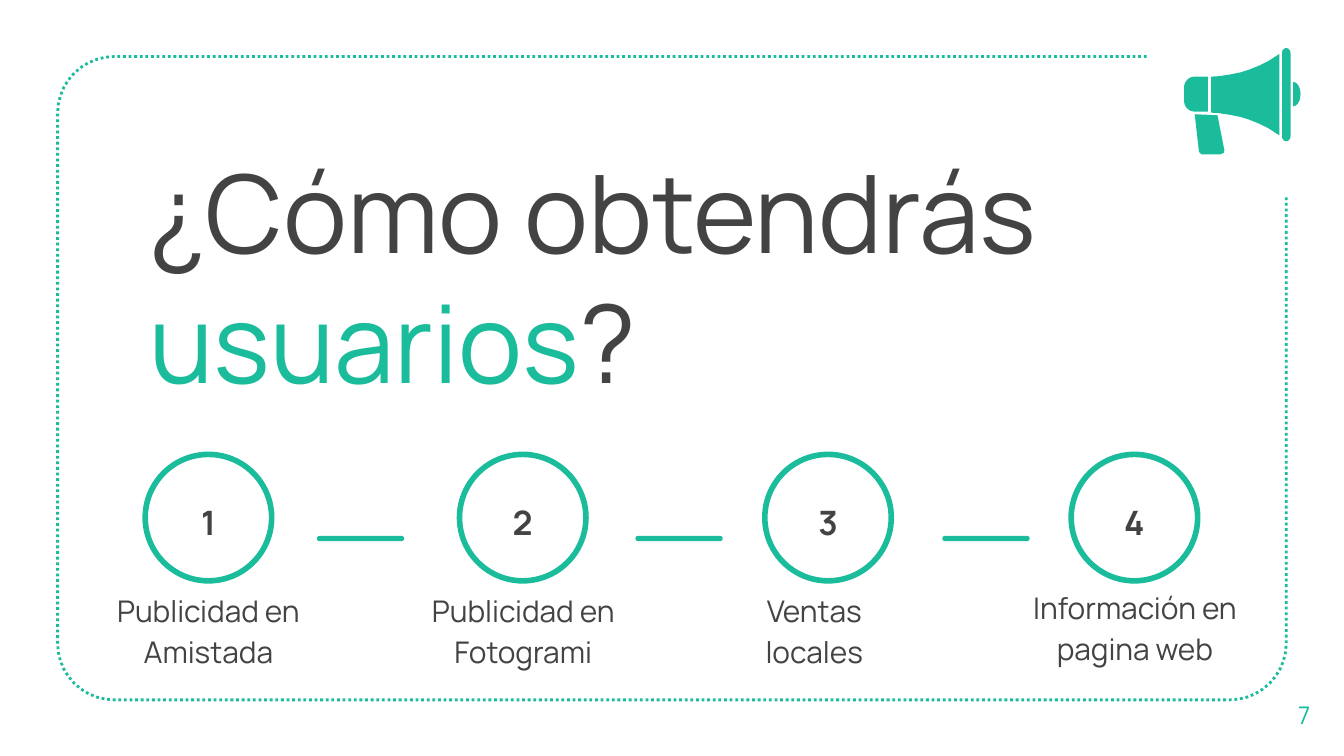
from math import cos, radians, sin

from pptx import Presentation
from pptx.dml.color import RGBColor
from pptx.enum.dml import MSO_LINE
from pptx.enum.shapes import MSO_SHAPE
from pptx.enum.text import MSO_ANCHOR, MSO_AUTO_SIZE, PP_ALIGN
from pptx.util import Cm, Pt

OVAL, ROUNDED = MSO_SHAPE.OVAL, MSO_SHAPE.ROUNDED_RECTANGLE
DOTTED = MSO_LINE.ROUND_DOT
TOP, MIDDLE, BOTTOM = MSO_ANCHOR.TOP, MSO_ANCHOR.MIDDLE, MSO_ANCHOR.BOTTOM
LEFT, CENTER = PP_ALIGN.LEFT, PP_ALIGN.CENTER
NO_AUTOFIT = MSO_AUTO_SIZE.NONE
GREEN, GRAY = "1ABC9C", "434343"
FONT = "Manrope"


def arc(center_x, center_y, radius_x, radius_y, start, end, steps=10):
    """Points in cm along an ellipse; 0 degrees is right, 90 is down."""
    angles = [radians(start + (end - start) * i / steps) for i in range(steps + 1)]
    return [(center_x + radius_x * cos(a), center_y + radius_y * sin(a)) for a in angles]


def paint(shape, fill=None, line=None, width=0):
    shape.shadow.inherit = False
    for target, value in ((shape.fill, fill), (shape.line.fill, line)):
        if value:
            target.solid()
            target.fore_color.rgb = RGBColor.from_string(value)
        else:
            target.background()
    if line:
        shape.line.width = Pt(width)


presentation = Presentation()
presentation.slide_width, presentation.slide_height = Cm(25.4), Cm(14.29)
slide = presentation.slides.add_slide(presentation.slide_layouts[5])
shapes = slide.shapes

# Dotted frame, open at the top right, and the parts of the megaphone
radius = 1.07
frame = [(21.67, 1.07),
         *arc(2.16, 2.14, radius, radius, 270, 180),
         *arc(2.16, 12.16, radius, radius, 180, 90),
         *arc(23.24, 12.16, radius, radius, 90, 0),
         (24.31, 3.71)]
handle = [(22.58, 2.16), (22.66, 2.87), (22.71, 2.92), (23.06, 2.92),
          (23.13, 2.89), (23.14, 2.84), (23.01, 2.18)]
knob = arc(24.44, 1.78, 0.14, 0.23, -90, 90)
back = [(22.83, 1.45), *arc(22.58, 1.65, 0.2, 0.2, 270, 180),
        *arc(22.58, 1.91, 0.2, 0.2, 180, 90), (22.83, 2.11)]
upper_edge = [(24.18, 1.02), (23.98, 1.15), (23.8, 1.24), (23.6, 1.32), (23.44, 1.37),
              (23.24, 1.41), (23.04, 1.44), (22.89, 1.45)]
axis = 1.79
cone = upper_edge + [(x, 2 * axis - y) for x, y in reversed(upper_edge)]
rim = arc(24.31, 1.0, 0.08, 0.09, 180, 360) + arc(24.31, 2.58, 0.08, 0.09, 0, 180)

for outline in (frame, handle, knob, back, cone, rim):
    points = [(Cm(x), Cm(y)) for x, y in outline]
    builder = shapes.build_freeform(*points[0])
    builder.add_line_segments(points[1:], close=outline is not frame)
    shape = builder.convert_to_shape()
    if outline is frame:
        paint(shape, line=GREEN, width=1.5)
        shape.line.dash_style = DOTTED
    else:
        paint(shape, fill=GREEN)

# Bars between the steps
for left in (5.99, 12.01, 17.81):
    bar = shapes.add_shape(ROUNDED, Cm(left), Cm(10.13), Cm(1.65), Cm(0.1))
    bar.adjustments[0] = 0.5
    paint(bar, fill=GREEN)

# Step circles: circle centre, label centre, label bottom, label width, label
steps = [
    (3.94, 3.94, 12.9, 5.59, "Publicidad en Amistada"),
    (9.88, 9.89, 12.9, 4.75, "Publicidad en Fotogrami"),
    (15.65, 15.39, 12.9, 4.11, "Ventas locales"),
    (21.44, 21.45, 12.85, 4.75, "Información en pagina web"),
]
diameter, number_width, label_height = 2.39, 1.65, 1.24
texts = []
for number, (center, label_center, bottom, width, label) in enumerate(steps, 1):
    circle = shapes.add_shape(OVAL, Cm(center - diameter / 2), Cm(8.59),
                              Cm(diameter), Cm(diameter))
    paint(circle, line=GREEN, width=3)
    texts += [
        ((center - number_width / 2, 9.12, number_width, 0.89), TOP, 1.15,
         [(str(number), GRAY)], {"size": Pt(18), "bold": True}),
        ((label_center - width / 2, bottom - label_height, width, label_height), BOTTOM, 1.15,
         [(label, GRAY)], {"size": Pt(16)}),
    ]

# Title and slide number
title_runs = [("¿Cómo obtendrás ", GRAY), ("usuarios", GREEN), ("?", GRAY)]
texts += [
    ((2.57, 2.49, 19.08, 2.39), TOP, 1.0, title_runs, {"size": Pt(58)}),
    ((23.9, 12.75, 1.5, 1.52), MIDDLE, 1.0, [("7", GREEN)], {"size": Pt(13)}),
]

# All text, with its box in cm
for box, anchor, spacing, runs, font_format in texts:
    left, top, width, height = [Cm(value) for value in box]
    is_title = runs is title_runs
    if is_title:
        shape = shapes.title
        shape.left, shape.top, shape.width, shape.height = left, top, width, height
    else:
        shape = shapes.add_textbox(left, top, width, height)
    frame_format = {"word_wrap": True, "auto_size": NO_AUTOFIT, "vertical_anchor": anchor}
    for side in ("left", "top", "right", "bottom"):
        frame_format[f"margin_{side}"] = Cm(0.25)
    for name, value in frame_format.items():
        setattr(shape.text_frame, name, value)
    paragraph = shape.text_frame.paragraphs[0]
    paragraph.alignment = LEFT if is_title else CENTER
    paragraph.line_spacing = spacing
    for text, color in runs:
        run = paragraph.add_run()
        run.text = text
        run.font.color.rgb = RGBColor.from_string(color)
        for name, value in {"name": FONT, **font_format}.items():
            setattr(run.font, name, value)

presentation.save("out.pptx")
